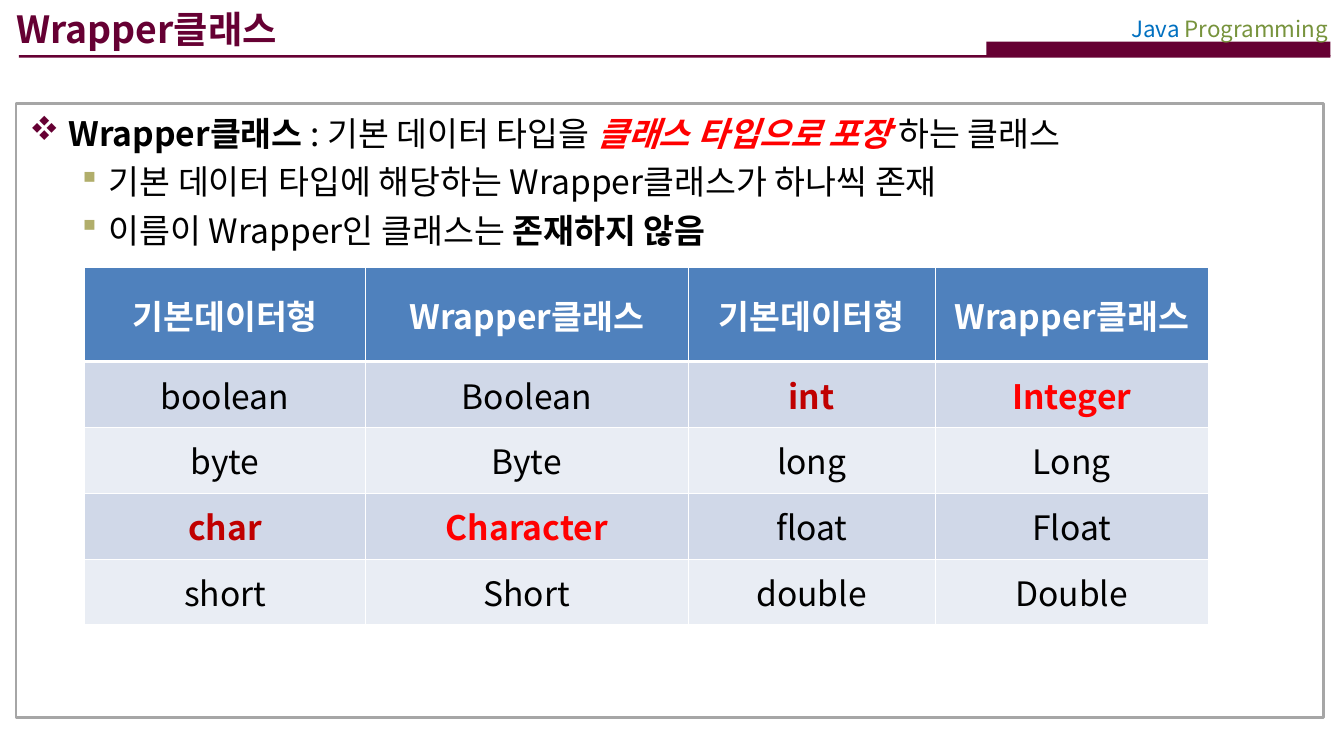
from lxml.etree import SubElement
from pptx import Presentation
from pptx.dml.color import RGBColor
from pptx.enum.shapes import MSO_SHAPE as Shape
from pptx.enum.text import MSO_ANCHOR as Anchor, PP_ALIGN as Align
from pptx.oxml.ns import qn
from pptx.util import Inches, Pt

THEME = {
    "font": "Noto Sans CJK KR", "bullet_font": "Wingdings",
    "title_size": 20, "body_size": 18, "header_size": 12, "line_pitch": 26,
    "plum": "660033", "black": "000000", "white": "FFFFFF", "red": "FF0000",
    "dark_red": "C00000", "blue": "0070C0", "green": "77933C", "olive": "B1AE6B",
    "frame": "A6A6A6", "head": "4F81BD", "bands": ("D0D8E8", "E9EDF4"),
}

# A span is (text, colour name, style letters: b bold, i italic).
TITLE = [("Wrapper클래스", "plum", "b")]
COURSE = [("Java ", "blue", ""), ("Programming", "green", "")]
BULLETS = [
    (0, [("Wrapper클래스 ", "black", "b"), (": 기본 데이터 타입을 ", "black", ""),
         ("클래스 타입으로 포장 ", "red", "bi"), ("하는 클래스", "black", "")]),
    (1, [("기본 데이터 타입에 해당하는 Wrapper클래스가 하나씩 존재", "black", "")]),
    (1, [("이름이 Wrapper인 클래스는 ", "black", ""), ("존재하지 않음", "black", "b")]),
]
# Wingdings character, colour name, text indent and hanging width for each level.
LEVELS = [("v", "plum", 0.29, 0.29), ("§", "olive", 0.59, 0.2)]

TYPE_TABLE = [
    ("기본데이터형", "Wrapper클래스", "기본데이터형", "Wrapper클래스"),
    ("boolean", "Boolean", "int", "Integer"),
    ("byte", "Byte", "long", "Long"),
    ("char", "Character", "float", "Float"),
    ("short", "Short", "double", "Double"),
]
HIGHLIGHTS = {"int": "dark_red", "char": "dark_red", "Integer": "red", "Character": "red"}
COLUMN_WIDTHS = (2.09, 2.4, 1.84, 2.03)
HEAD_HEIGHT, ROW_HEIGHT = 0.7, 0.49
THIN, THICK = 0.45, 1.47


def rgb(name):
    return RGBColor.from_string(THEME.get(name, name))


def write_spans(para, spans, size):
    for text, color, style in spans:
        span = para.add_run()
        span.text = text
        font = span.font
        font.name, font.size = THEME["font"], Pt(size)
        font.bold, font.italic = "b" in style, "i" in style
        font.color.rgb = rgb(color)
        SubElement(font._element, qn("a:ea"), typeface=THEME["font"])


def add_text_box(page, left, top, width, height, anchor):
    box = page.shapes.add_textbox(*map(Inches, (left, top, width, height)))
    box.text_frame.word_wrap = True
    box.text_frame.vertical_anchor = anchor
    return box.text_frame


def add_bar(page, left, top, width, height):
    bar = page.shapes.add_shape(Shape.RECTANGLE, *map(Inches, (left, top, width, height)))
    bar.shadow.inherit = False
    bar.fill.solid()
    bar.fill.fore_color.rgb = rgb("plum")
    bar.line.fill.background()


def add_header(page):
    add_bar(page, 7.34, 0.31, 2.56, 0.11)
    add_bar(page, 0.14, 0.41, 9.76, 0.02)
    para = add_text_box(page, 7.93, 0.06, 2.05, 0.3, Anchor.MIDDLE).paragraphs[0]
    para.alignment = Align.RIGHT
    write_spans(para, COURSE, THEME["header_size"])

    title = page.shapes.title
    title.left, title.top = Inches(0), Inches(-0.01)
    title.width, title.height = Inches(6.97), Inches(0.41)
    frame = title.text_frame
    frame.margin_left = Inches(0.12)
    frame.margin_top = Inches(0.08)
    frame.vertical_anchor = Anchor.MIDDLE
    frame.paragraphs[0].alignment = Align.LEFT
    write_spans(frame.paragraphs[0], TITLE, THEME["title_size"])


def add_bullets(page):
    frame = add_text_box(page, 0.12, 0.73, 9.75, 1.2, Anchor.TOP)
    for index, (level, spans) in enumerate(BULLETS):
        para = frame.paragraphs[0] if index == 0 else frame.add_paragraph()
        para.level = level
        para.line_spacing = Pt(THEME["line_pitch"])
        mark, color, indent, hanging = LEVELS[level]
        props = para._p.get_or_add_pPr()
        props.set("marL", str(Inches(indent)))
        props.set("indent", str(-Inches(hanging)))
        SubElement(SubElement(props, qn("a:buClr")), qn("a:srgbClr"), val=THEME[color])
        SubElement(props, qn("a:buFont"), typeface=THEME["bullet_font"], charset="2")
        SubElement(props, qn("a:buChar"), char=mark)
        write_spans(para, spans, THEME["body_size"])


def add_frame(page):
    frame = page.shapes.add_shape(
        Shape.ROUNDED_RECTANGLE, *map(Inches, (0.12, 0.77, 9.73, 4.57)))
    frame.adjustments[0] = 0
    frame.shadow.inherit = False
    frame.fill.background()
    frame.line.color.rgb = rgb("frame")
    frame.line.width = Pt(1.5)


def set_borders(cell, row):
    """Draw white borders, thicker between the head and the first row."""
    props = cell._tc.get_or_add_tcPr()
    widths = {"L": THIN, "R": THIN,
              "T": THICK if row == 1 else THIN, "B": THICK if row == 0 else THIN}
    for position, (side, width) in enumerate(widths.items()):
        line = SubElement(props, qn(f"a:ln{side}"), w=str(Pt(width)))
        fill = SubElement(line, qn("a:solidFill"))
        SubElement(fill, qn("a:srgbClr"), val=THEME["white"])
        props.insert(position, line)


def add_type_table(page):
    heights = [HEAD_HEIGHT] + [ROW_HEIGHT] * (len(TYPE_TABLE) - 1)
    table = page.shapes.add_table(
        len(heights), len(COLUMN_WIDTHS), Inches(0.63), Inches(1.99),
        Inches(sum(COLUMN_WIDTHS)), Inches(sum(heights))).table
    for column, width in zip(table.columns, COLUMN_WIDTHS):
        column.width = Inches(width)
    for row, (texts, height) in enumerate(zip(TYPE_TABLE, heights)):
        table.rows[row].height = Inches(height)
        for col, text in enumerate(texts):
            cell = table.cell(row, col)
            cell.vertical_anchor = Anchor.MIDDLE
            cell.fill.solid()
            cell.fill.fore_color.rgb = rgb(THEME["bands"][(row - 1) % 2] if row else "head")
            set_borders(cell, row)
            color = HIGHLIGHTS.get(text, "black") if row else "white"
            para = cell.text_frame.paragraphs[0]
            para.alignment = Align.CENTER
            write_spans(para, [(text, color, "" if color == "black" else "b")],
                        THEME["body_size"])


def main():
    deck = Presentation()
    deck.slide_width = Inches(10)
    deck.slide_height = deck.slide_width * 9 // 16
    page = deck.slides.add_slide(deck.slide_layouts[5])
    add_header(page)
    add_bullets(page)
    add_frame(page)
    add_type_table(page)
    deck.save("out.pptx")


if __name__ == "__main__":
    main()
